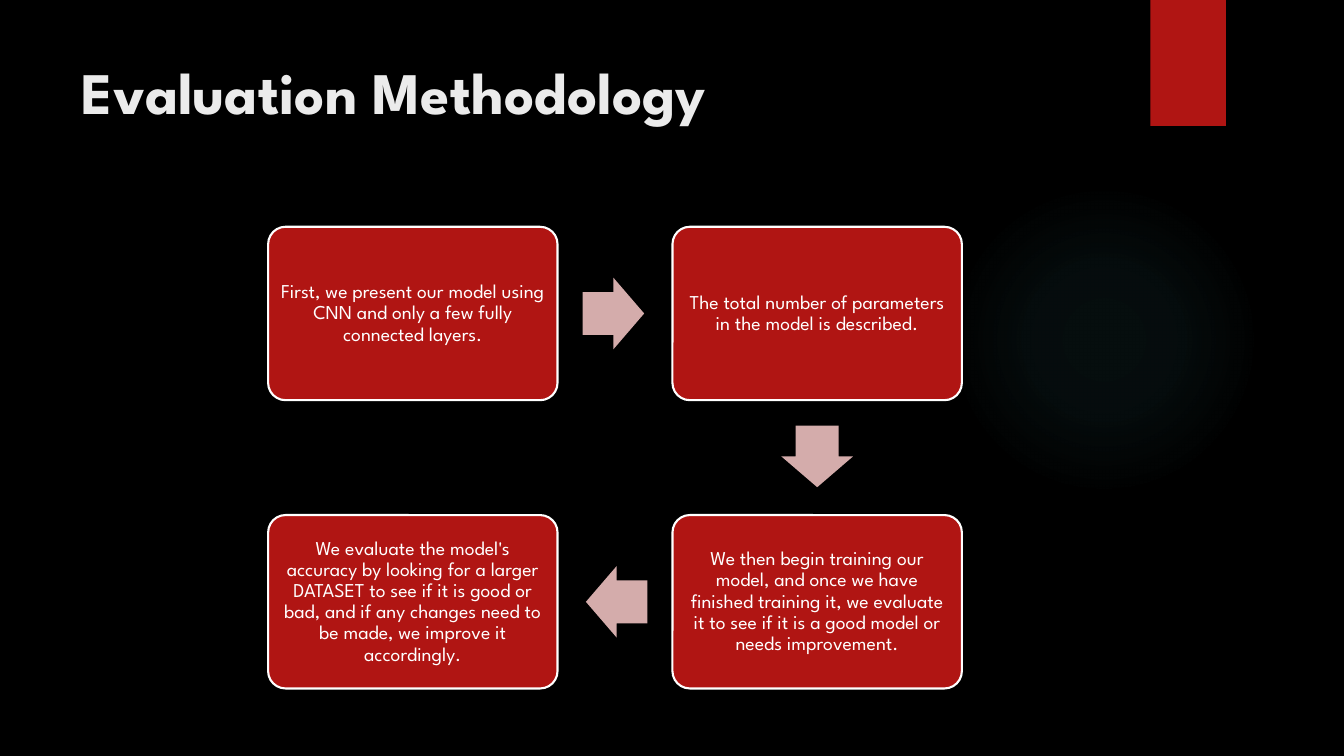
import pptx
import pptx.util
import pptx.dml.color
import pptx.enum.shapes
import pptx.enum.text
import pptx.oxml

Inches, Pt = pptx.util.Inches, pptx.util.Pt
SHAPE = pptx.enum.shapes.MSO_SHAPE
ANCHOR = pptx.enum.text.MSO_ANCHOR
ALIGN = pptx.enum.text.PP_ALIGN

FONT = "League Spartan"
RED, PINK, WHITE, BLACK = "B01513", "D4ACAB", "FFFFFF", "000000"
HEADING, GLOW = "EBEBEB", "50B9C1"

STEPS = [
    "First, we present our model using CNN and only a few fully connected layers.",
    "The total number of parameters in the model is described.",
    "We then begin training our model, and once we have finished training it, "
    "we evaluate it to see if it is a good model or needs improvement.",
    "We evaluate the model's accuracy by looking for a larger DATASET to see if it "
    "is good or bad, and if any changes need to be made, we improve it accordingly.",
]
# Column and row of each step, clockwise, and the turn of the arrow after it
CELLS = [(0, 0), (1, 0), (1, 1), (0, 1)]
TURNS = [0, 90, 180]


def rgb(value):
    return pptx.dml.color.RGBColor.from_string(value)


def add_shape(slide, kind, box, fill=None, line=None):
    sp = slide.shapes.add_shape(kind, *map(Inches, box))
    sp.shadow.inherit = False
    if fill:
        sp.fill.solid()
        sp.fill.fore_color.rgb = rgb(fill)
    if line:
        sp.line.color.rgb = rgb(line)
        sp.line.width = Pt(1.5)
    else:
        sp.line.fill.background()
    return sp


def style(p, size, color, bold=False):
    p.font.name, p.font.size, p.font.bold = FONT, Pt(size), bold
    p.font.color.rgb = rgb(color)


def add_backdrop(slide, glow_box, ribbon_box):
    slide.background.fill.solid()
    slide.background.fill.fore_color.rgb = rgb(BLACK)

    # Faint radial glow
    sp = add_shape(slide, SHAPE.OVAL, glow_box)
    stops = "".join(
        f'<a:gs pos="{pos * 1000}"><a:srgbClr val="{GLOW}">'
        f'<a:alpha val="{alpha * 1000}"/></a:srgbClr></a:gs>'
        for pos, alpha in [(0, 7), (36, 6), (69, 0)])
    grad = pptx.oxml.parse_xml(
        '<a:gradFill xmlns:a="http://schemas.openxmlformats.org/drawingml/2006/main">'
        f'<a:gsLst>{stops}</a:gsLst><a:path path="circle">'
        '<a:fillToRect l="50000" t="50000" r="50000" b="50000"/></a:path></a:gradFill>')
    sp.element.spPr.find(pptx.oxml.ns.qn("a:prstGeom")).addnext(grad)

    # Ribbon at the top edge
    add_shape(slide, SHAPE.RECTANGLE, ribbon_box, RED)


def add_title(slide, box, text):
    title = slide.shapes.title
    title.left, title.top, title.width, title.height = map(Inches, box)
    tf = title.text_frame
    tf.text = text
    tf.vertical_anchor = ANCHOR.TOP
    tf.auto_size = pptx.enum.text.MSO_AUTO_SIZE.NONE
    p = tf.paragraphs[0]
    p.alignment = ALIGN.LEFT
    style(p, 42, HEADING, bold=True)


def add_step(slide, box, text):
    sp = add_shape(slide, SHAPE.ROUNDED_RECTANGLE, box, RED, WHITE)
    sp.adjustments[0] = 0.1
    tf = sp.text_frame
    tf.word_wrap = True
    tf.vertical_anchor = ANCHOR.MIDDLE
    tf.margin_left = tf.margin_right = tf.margin_top = tf.margin_bottom = Inches(0.06)
    tf.text = text
    p = tf.paragraphs[0]
    p.alignment = ALIGN.CENTER
    p.line_spacing = 0.9
    style(p, 14, WHITE)


def add_arrow(slide, center, turn):
    w, h = 0.61, 0.71
    sp = add_shape(slide, SHAPE.RIGHT_ARROW,
                   (center[0] - w / 2, center[1] - h / 2, w, h), PINK)
    sp.adjustments[0], sp.adjustments[1] = 0.6, 0.5
    sp.rotation = turn


def add_flow(slide, box):
    """Four steps in a two by two grid, joined clockwise by arrows."""
    left, top, width, height = box
    w, h = 2.87, 1.72
    corners = [(left + col * (width - w), top + row * (height - h))
               for col, row in CELLS]
    for (x, y), text in zip(corners, STEPS):
        add_step(slide, (x, y, w, h), text)

    # Each arrow sits midway between two steps, slightly towards the first
    for (x1, y1), (x2, y2), turn in zip(corners, corners[1:], TURNS):
        share = 0.496
        center = (x1 + (x2 - x1) * share + w / 2, y1 + (y2 - y1) * share + h / 2)
        add_arrow(slide, center, turn)


def main():
    prs = pptx.Presentation()
    prs.slide_width, prs.slide_height = Inches(13.33), Inches(7.5)
    slide = prs.slides.add_slide(prs.slide_layouts.get_by_name("Title Only"))
    add_backdrop(slide, (9.41, 1.83, 3.08, 3.08), (11.41, 0, 0.75, 1.25))
    add_title(slide, (0.71, 0.5, 10.29, 1.53), "Evaluation Methodology")
    add_flow(slide, (2.66, 2.25, 6.88, 4.58))
    prs.save("out.pptx")


if __name__ == "__main__":
    main()
